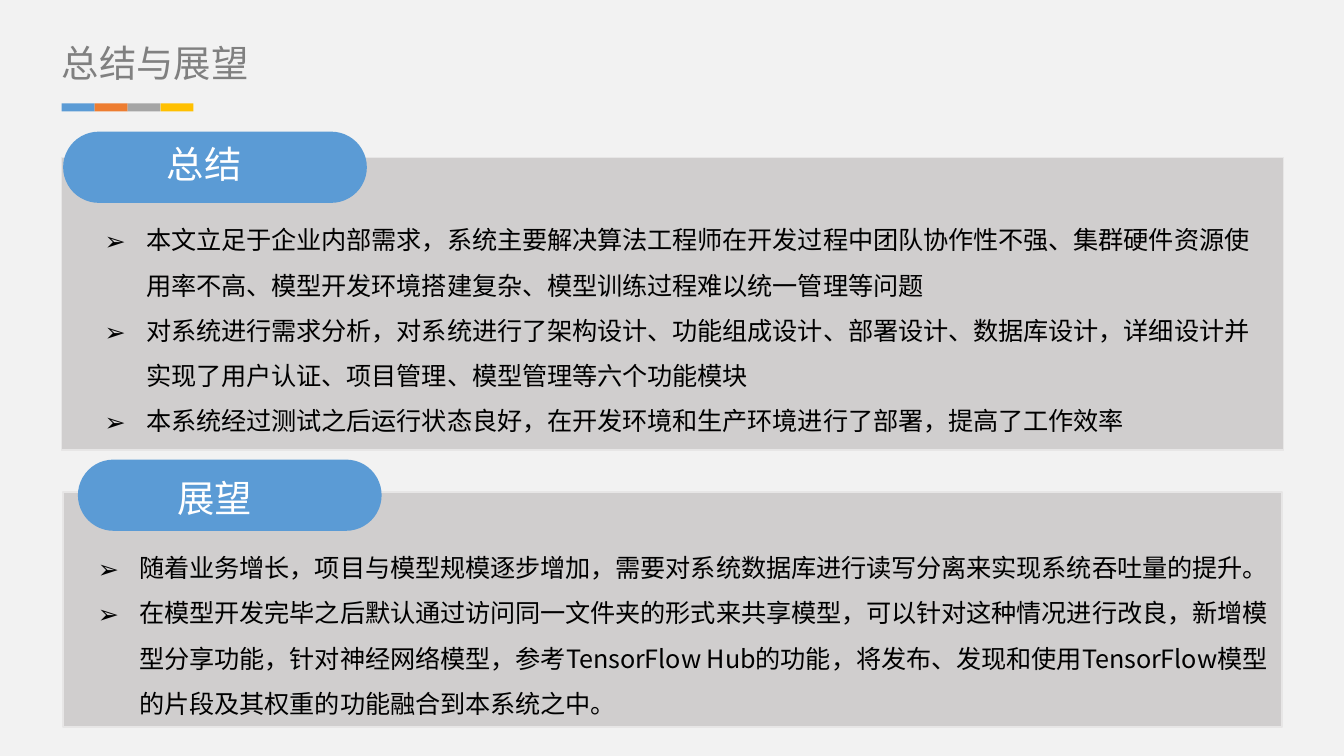
from lxml import etree
from pptx import Presentation
from pptx import util as u
from pptx.dml.color import RGBColor
from pptx.enum import shapes, text
from pptx.oxml.ns import qn

FONT = "Noto Sans CJK SC"
BLUE = "5B9BD5"
STRIPE_COLOURS = [BLUE, "ED7D31", "A5A5A5", "FFC000"]

SUMMARY = [
    "本文立足于企业内部需求，系统主要解决算法工程师在开发过程中团队协作性不强、集群硬件资源使用率不高、模型开发环境搭建复杂、模型训练过程难以统一管理等问题",
    "对系统进行需求分析，对系统进行了架构设计、功能组成设计、部署设计、数据库设计，详细设计并实现了用户认证、项目管理、模型管理等六个功能模块",
    "本系统经过测试之后运行状态良好，在开发环境和生产环境进行了部署，提高了工作效率",
]
OUTLOOK = [
    "随着业务增长，项目与模型规模逐步增加，需要对系统数据库进行读写分离来实现系统吞吐量的提升。",
    "在模型开发完毕之后默认通过访问同一文件夹的形式来共享模型，可以针对这种情况进行改良，新增模型分享功能，针对神经网络模型，参考TensorFlow Hub的功能，将发布、发现和使用TensorFlow模型的片段及其权重的功能融合到本系统之中。",
]


def colour(value):
    return RGBColor.from_string(value)


def inches(box):
    return [u.Inches(length) for length in box]


def add_block(slide, kind, box, fill, line=None):
    shape = slide.shapes.add_shape(kind, *inches(box))
    shape.shadow.inherit = False
    shape.fill.solid()
    shape.fill.fore_color.rgb = colour(fill)
    if line:
        shape.line.color.rgb = colour(line)
        shape.line.width = u.Pt(0)
    else:
        shape.line.fill.background()
    return shape


def add_bullet(paragraph, character, indent):
    properties = paragraph._p.get_or_add_pPr()
    properties.set("marL", str(u.Inches(indent)))
    properties.set("indent", str(-u.Inches(indent)))
    etree.SubElement(properties, qn("a:buFont")).set("typeface", FONT)
    etree.SubElement(properties, qn("a:buChar")).set("char", character)


def write_text(shape, lines, size, font_colour, align=text.PP_ALIGN.LEFT,
               inset=None, spacing=1.0, bullet=None):
    frame = shape.text_frame
    frame.word_wrap = True
    frame.auto_size = text.MSO_AUTO_SIZE.NONE
    frame.vertical_anchor = text.MSO_ANCHOR.TOP
    if inset is not None:
        frame.margin_left = frame.margin_right = u.Inches(inset)
        frame.margin_top = frame.margin_bottom = u.Inches(inset)
    for index, line in enumerate(lines):
        paragraph = frame.add_paragraph() if index else frame.paragraphs[0]
        paragraph.alignment = align
        paragraph.line_spacing = spacing
        if bullet:
            add_bullet(paragraph, bullet, 0.31)
        run = paragraph.add_run()
        run.text = line
        run.font.size = u.Pt(size)
        run.font.color.rgb = colour(font_colour)
        run.font.name = FONT
        east_asian = etree.SubElement(run._r.get_or_add_rPr(), qn("a:ea"))
        east_asian.set("typeface", FONT)


def add_header(slide, left, top):
    title = slide.shapes.title
    title.left, title.top, title.width, title.height = inches((left, top, 3.04, 0.34))
    write_text(title, ["总结与展望"], 20, "808080", inset=0)
    stripe_width = 0.98 / len(STRIPE_COLOURS)
    for index, fill in enumerate(STRIPE_COLOURS):
        box = (left + index * stripe_width, top + 0.47, stripe_width, 0.06)
        add_block(slide, shapes.MSO_SHAPE.RECTANGLE, box, fill)


def add_panel(slide, box, heading, lines, pill_at, heading_at, body_box):
    left, top = box[:2]
    add_block(slide, shapes.MSO_SHAPE.RECTANGLE, box, "D0CECE", line="E7E6E6")

    pill_box = (left + pill_at[0], top + pill_at[1], 2.26, 0.53)
    pill = add_block(slide, shapes.MSO_SHAPE.ROUNDED_RECTANGLE, pill_box, BLUE)
    pill.adjustments[0] = 0.5

    heading_box = (left + heading_at[0], top + heading_at[1], 1.94, 0.44)
    label = slide.shapes.add_textbox(*inches(heading_box))
    write_text(label, [heading], 20, "FFFFFF", align=text.PP_ALIGN.CENTER)

    body_left, body_top, width, height = body_box
    body = slide.shapes.add_textbox(
        *inches((left + body_left, top + body_top, width, height)))
    write_text(body, lines, 13.5, "000000", spacing=1.5, bullet="➢")


def main():
    presentation = Presentation()
    presentation.slide_width = u.Inches(10)
    presentation.slide_height = u.Inches(10 * 9 / 16)
    slide = presentation.slides.add_slide(presentation.slide_layouts[5])
    slide.background.fill.solid()
    slide.background.fill.fore_color.rgb = colour("F2F2F2")

    add_header(slide, 0.46, 0.3)
    add_panel(slide, (0.46, 1.17, 9.09, 2.18), "总结", SUMMARY,
              pill_at=(0.01, -0.19), heading_at=(0.09, -0.17),
              body_box=(0.22, 0.34, 8.81, 1.8))
    add_panel(slide, (0.47, 3.66, 9.07, 1.75), "展望", OUTLOOK,
              pill_at=(0.11, -0.24), heading_at=(0.16, -0.17),
              body_box=(0.16, 0.29, 8.92, 1.46))
    presentation.save("out.pptx")


if __name__ == "__main__":
    main()
